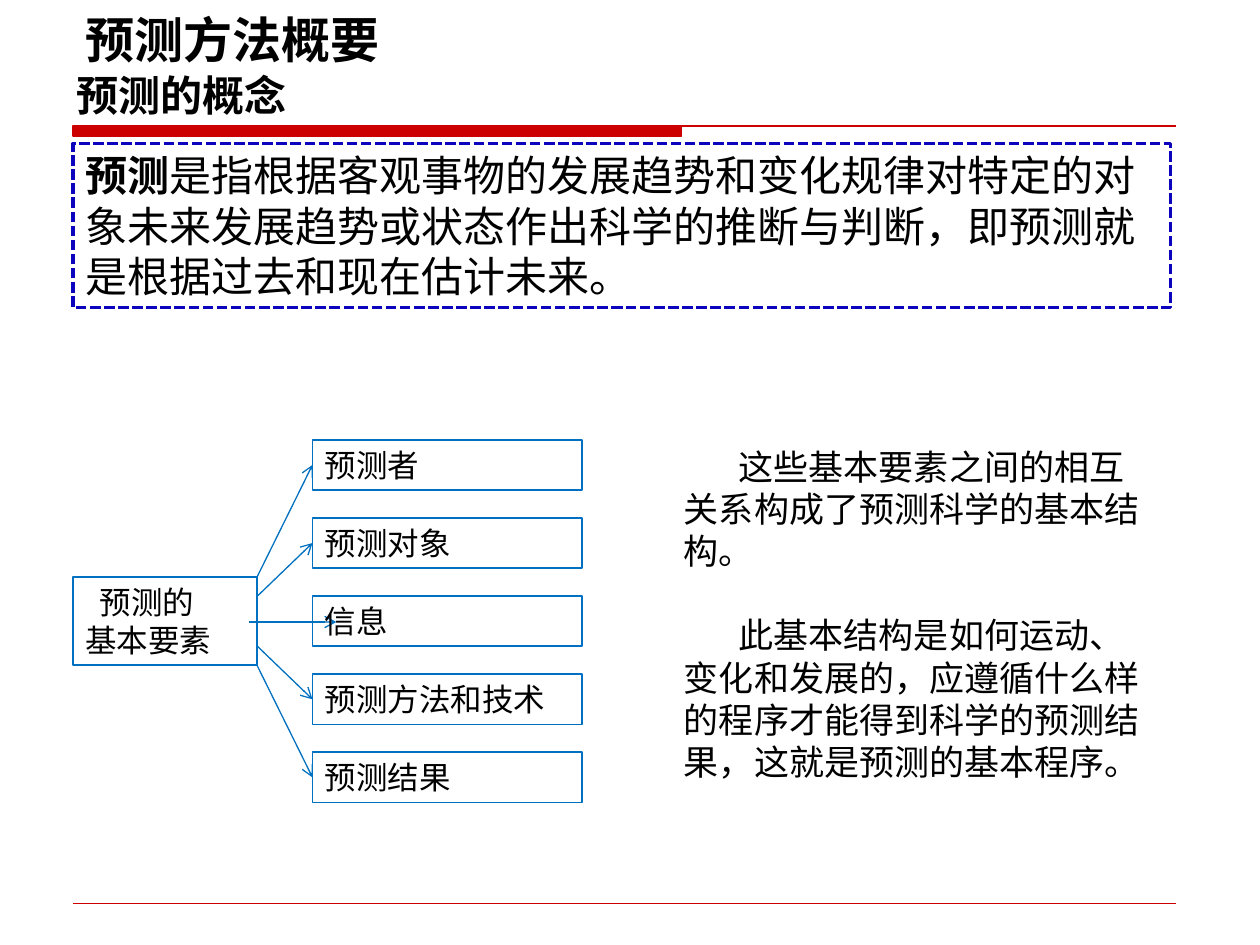
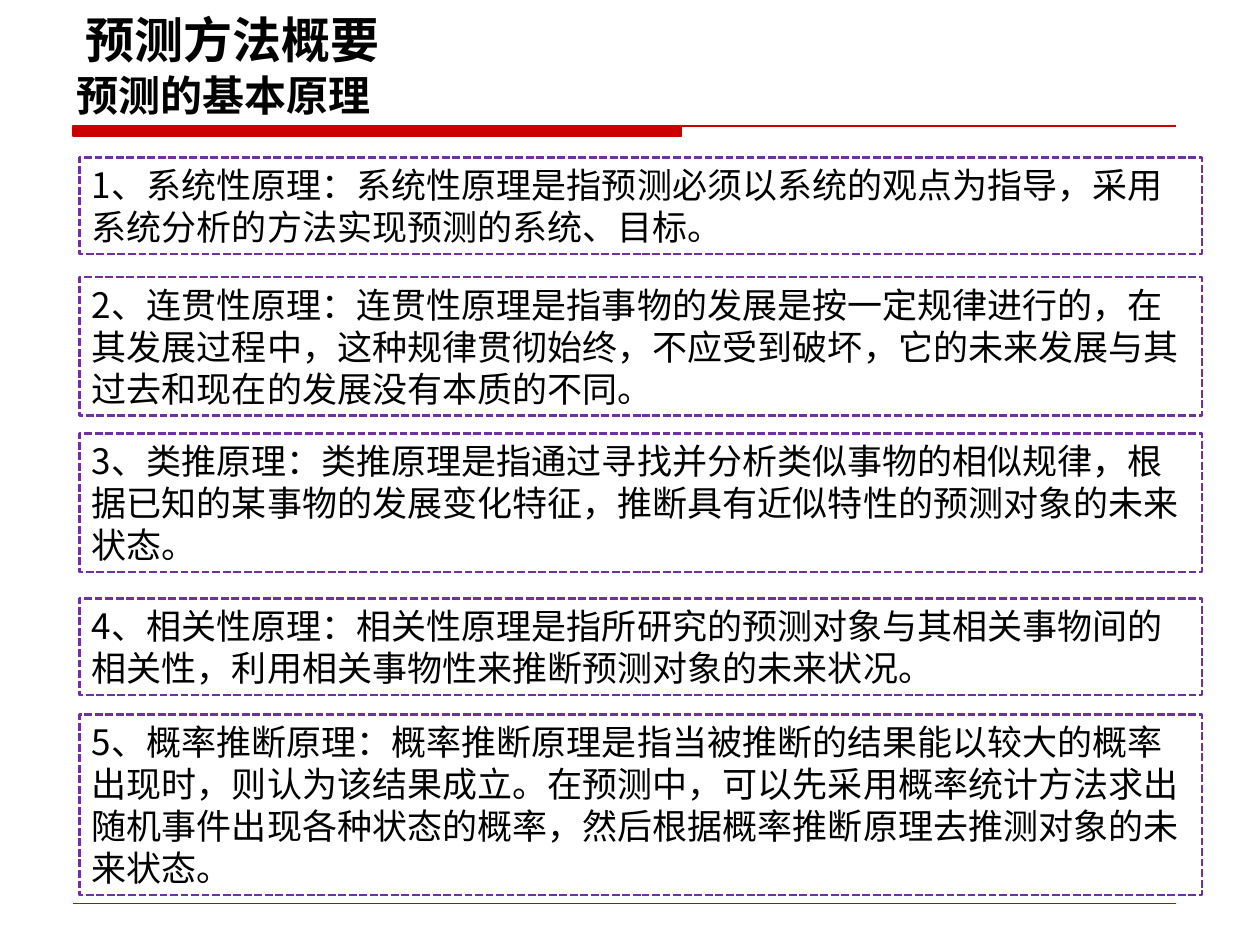
import lxml.etree
import pptx
import pptx.dml.color
import pptx.enum.dml
import pptx.enum.lang
import pptx.enum.shapes
import pptx.enum.text
import pptx.oxml.ns
import pptx.util

# Lengths are cells of a grid of 100 columns by 75 rows.
COLS, ROWS = 100, 75
CELL = pptx.util.Inches(0.1)
FONT = "Noto Sans CJK SC"
LEAD = 1.2  # line height as a multiple of the text size
HUES = {"ink": "000000", "band": "CC0000", "frame": "0C03BD",
        "node": "0070C0", "rule": "7030A0"}

TOPIC = "预测方法概要"
CONCEPT = [
    ("预测", True),
    ("是指根据客观事物的发展趋势和变化规律对特定的对象未来发展趋势或状态"
     "作出科学的推断与判断，即预测就是根据过去和现在估计未来。", False),
]
FACTORS = ["预测者", "预测对象", "信息", "预测方法和技术", "预测结果"]
REMARKS = [
    "这些基本要素之间的相互关系构成了预测科学的基本结构。",
    "此基本结构是如何运动、变化和发展的，应遵循什么样的程序才能得到科学的"
    "预测结果，这就是预测的基本程序。",
]
# Top row, number of text lines, wording
RULES = [
    (12.5, 2, "1、系统性原理：系统性原理是指预测必须以系统的观点为指导，采用"
              "系统分析的方法实现预测的系统、目标。"),
    (22, 3, "2、连贯性原理：连贯性原理是指事物的发展是按一定规律进行的，在"
            "其发展过程中，这种规律贯彻始终，不应受到破坏，它的未来发展与其"
            "过去和现在的发展没有本质的不同。"),
    (34.4, 3, "3、类推原理：类推原理是指通过寻找并分析类似事物的相似规律，根"
              "据已知的某事物的发展变化特征，推断具有近似特性的预测对象的未来"
              "状态。"),
    (47.5, 2, "4、相关性原理：相关性原理是指所研究的预测对象与其相关事物间的"
              "相关性，利用相关事物性来推断预测对象的未来状况。"),
    (56.7, 4, "5、概率推断原理：概率推断原理是指当被推断的结果能以较大的概率"
              "出现时，则认为该结果成立。在预测中，可以先采用概率统计方法求出"
              "随机事件出现各种状态的概率，然后根据概率推断原理去推测对象的未"
              "来状态。"),
]


def cells(*spans):
    return [round(span * CELL) for span in spans]


def tint(name):
    return pptx.dml.color.RGBColor.from_string(HUES[name])


def child(node, tag, **attrs):
    return lxml.etree.SubElement(node, pptx.oxml.ns.qn(tag), **attrs)


def write(shape, paras, size, indent=0, gap=0, middle=False):
    """Fill a shape with paragraphs, each a list of (wording, bold) runs."""
    frame = shape.text_frame
    frame.word_wrap = True
    frame.auto_size = pptx.enum.text.MSO_AUTO_SIZE.NONE
    anchor = pptx.enum.text.MSO_ANCHOR
    frame.vertical_anchor = anchor.MIDDLE if middle else anchor.TOP
    for i, runs in enumerate(paras):
        para = frame.add_paragraph() if i else frame.paragraphs[0]
        para.alignment = pptx.enum.text.PP_ALIGN.LEFT
        para.line_spacing = pptx.util.Pt(size * LEAD)
        para.space_before = pptx.util.Pt(gap if i else 0)
        for words, bold in runs:
            run = para.add_run()
            run.text = words
            font = run.font
            font.size, font.bold, font.name = pptx.util.Pt(size), bold, FONT
            font.color.rgb = tint("ink")
            font.language_id = pptx.enum.lang.MSO_LANGUAGE_ID.SIMPLIFIED_CHINESE
            child(run._r.rPr, "a:ea", typeface=FONT)
    return shape_indent(frame, indent)


def shape_indent(frame, indent):
    """Set the first-line indent, in cells, of every paragraph."""
    if indent:
        for para in frame.paragraphs:
            para._p.get_or_add_pPr().set("indent", str(round(indent * CELL)))


def rect(slide, box, hue, width, dash=False, fill=False):
    shape = slide.shapes.add_shape(
        pptx.enum.shapes.MSO_SHAPE.RECTANGLE, *cells(*box))
    shape.shadow.inherit = False
    if fill:
        shape.fill.solid()
        shape.fill.fore_color.rgb = tint(hue)
    else:
        shape.fill.background()
    shape.line.color.rgb = tint(hue)
    shape.line.width = pptx.util.Pt(width)
    if dash:
        shape.line.dash_style = pptx.enum.dml.MSO_LINE.SQUARE_DOT
    return shape


def line(slide, start, end, hue, arrow=False):
    link = slide.shapes.add_connector(
        pptx.enum.shapes.MSO_CONNECTOR.STRAIGHT, *cells(*start, *end))
    link.line.color.rgb = tint(hue)
    link.line.width = pptx.util.Pt(0.75)
    if arrow:
        child(link.line._get_or_add_ln(), "a:tailEnd", type="arrow")
    child(link._element.spPr, "a:effectLst")


def base(deck, name):
    """Add a slide with the shared rules, band, topic and title."""
    slide = deck.slides.add_slide(deck.slide_layouts[5])
    left, right, top, foot = 5.8, 93.3, 10, 71.7
    for row in (top, foot):
        line(slide, (left, row), (right, row), "band")
    rect(slide, (left, top, 48.3, 0.8), "band", 0.75, fill=True)
    title = slide.shapes.title
    title.left, title.top, title.width, title.height = cells(5.1, 5, 89.8, 4.9)
    write(title, [[(name, True)]], 24)
    topic = slide.shapes.add_textbox(*cells(left, 0, 61.2, 6.2))
    write(topic, [[(TOPIC, True)]], 28, middle=True)
    return slide


def tree(slide, box):
    """Draw the root on the left, with arrows to an even column of factors."""
    left, top, wide, high = box
    root = (left, top + 10.9, 14.6, 7)
    edge, col, tall = left + 14.6, left + 19, 4
    step = (high - tall) / (len(FACTORS) - 1)
    write(rect(slide, root, "node", 1),
          [[("预测的", False)], [("基本要素", False)]], 18)
    first = root_indent = slide.shapes[-1].text_frame.paragraphs[0]
    first._p.get_or_add_pPr().set("indent", str(round(1.15 * CELL)))
    starts = (0, 0.22, 0.51, 0.78, 1)
    for i, (name, share) in enumerate(zip(FACTORS, starts)):
        row = top + i * step
        start = (edge, root[1] + share * root[3])
        end = (col, row + tall / 2)
        if i == len(FACTORS) // 2:
            start, end = (edge - 0.6, start[1]), (col + 1.9, start[1])
        line(slide, start, end, "node", arrow=True)
        write(rect(slide, (col, row, wide - 19, tall), "node", 1),
              [[(name, False)]], 18)


def notes(slide, box):
    """Place the remarks with one empty line's space between them."""
    area = slide.shapes.add_textbox(*cells(*box))
    write(area, [[(words, False)] for words in REMARKS], 20,
          indent=4.35, gap=20 * LEAD)


def stack(slide, left, wide):
    """Place the framed rules, each as high as its lines need."""
    for top, count, words in RULES:
        high = count * 20 * LEAD / 7.2 + 1
        panel = rect(slide, (left, top, wide, high), "rule", 1.5, dash=True)
        write(panel, [[(words, False)]], 20)


def main():
    deck = pptx.Presentation()
    deck.slide_width, deck.slide_height = cells(COLS, ROWS)

    slide = base(deck, "预测的概念")
    write(rect(slide, (5.8, 11.4, 87.1, 13), "frame", 2, dash=True),
          [CONCEPT], 24)
    tree(slide, (5.8, 34.9, 40.4, 28.8))
    notes(slide, (53.3, 34.9, 39.6, 27.7))

    slide = base(deck, "预测的基本原理")
    stack(slide, 6.3, 89.1)

    deck.save("out.pptx")


if __name__ == "__main__":
    main()
